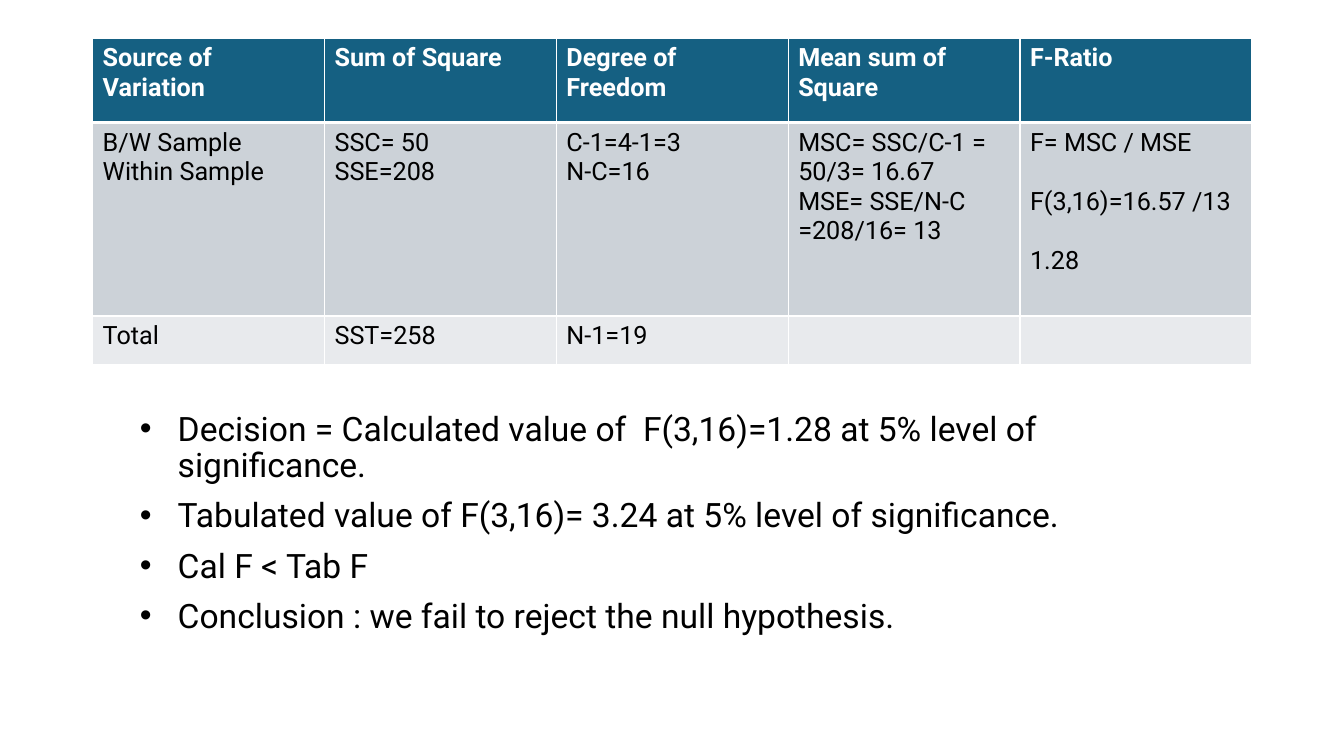
from lxml import etree
from pptx import Presentation
from pptx.dml.color import RGBColor
from pptx.oxml.ns import qn
from pptx.util import Pt

HEADERS = ["Source of Variation", "Sum of Square", "Degree of Freedom",
           "Mean sum of Square", "F-Ratio"]
SAMPLES = [
    ["B/W Sample", "Within Sample"],
    ["SSC= 50", "SSE=208"],
    ["C-1=4-1=3", "N-C=16"],
    ["MSC= SSC/C-1 =", "50/3= 16.67", "MSE= SSE/N-C", "=208/16= 13"],
    ["F= MSC / MSE", "F(3,16)=16.57 /13", "1.28"],
]
TOTALS = ["Total", "SST=258", "N-1=19", "", ""]
FINDINGS = [
    "Decision = Calculated value of  F(3,16)=1.28 at 5% level of significance.",
    "Tabulated value of F(3,16)= 3.24 at 5% level of significance.",
    "Cal F < Tab F",
    "Conclusion : we fail to reject the null hypothesis.",
]

ROWS = [
    {"cells": [[text] for text in HEADERS], "height": 60.2,
     "fill": "156082", "color": "FFFFFF", "bold": True},
    {"cells": SAMPLES, "height": 138.2,
     "fill": "CCD2D8", "color": "000000", "bold": False},
    {"cells": [[text] for text in TOTALS], "height": 34.4,
     "fill": "E8EAED", "color": "000000", "bold": False},
]
COLUMN_WIDTH = 165.6
TABLE_LEFT, TABLE_TOP = 66.2, 27.4
FINDINGS_BOX = (92.9, 290.9, 720, 249.1)
RATIO_COLUMN = HEADERS.index("F-Ratio")
RATIO_GAP = 21.1
BULLET_INDENT = 27
GRID_COLOR = "FFFFFF"


def rgb(color):
    return RGBColor.from_string(color)


def write_lines(frame, lines, size, color, bold=False, gap=0, bullet=False):
    for index, line in enumerate(lines):
        paragraph = frame.paragraphs[0] if index == 0 else frame.add_paragraph()
        if bullet:
            add_bullet(paragraph)
        if line:
            paragraph.add_run().text = line
        if index and gap:
            paragraph.space_before = Pt(gap)
        for name, value in {"name": "Roboto", "size": Pt(size), "bold": bold}.items():
            setattr(paragraph.font, name, value)
        paragraph.font.color.rgb = rgb(color)
        for run in paragraph.runs:
            for name, value in {"name": "Roboto", "size": Pt(size), "bold": bold}.items():
                setattr(run.font, name, value)
            run.font.color.rgb = rgb(color)


def add_bullet(paragraph):
    properties = paragraph._p.get_or_add_pPr()
    properties.set("marL", str(Pt(BULLET_INDENT)))
    properties.set("indent", str(-Pt(BULLET_INDENT)))
    etree.SubElement(properties, qn("a:buFont")).set("typeface", "Arial")
    etree.SubElement(properties, qn("a:buChar")).set("char", "•")
    paragraph.line_spacing = 0.9


def add_borders(cell, widths):
    """Draw the cell's edges; must run before its fill is set."""
    properties = cell._tc.get_or_add_tcPr()
    for edge, width in widths.items():
        line = etree.SubElement(properties, qn(f"a:ln{edge}"), w=str(Pt(width)))
        fill = etree.SubElement(line, qn("a:solidFill"))
        etree.SubElement(fill, qn("a:srgbClr")).set("val", GRID_COLOR)


def add_anova_table(slide):
    table = slide.shapes.add_table(
        len(ROWS), len(HEADERS), Pt(TABLE_LEFT), Pt(TABLE_TOP),
        Pt(COLUMN_WIDTH * len(HEADERS)), Pt(sum(row["height"] for row in ROWS))).table
    for column in table.columns:
        column.width = Pt(COLUMN_WIDTH)
    for row_index, row in enumerate(ROWS):
        table.rows[row_index].height = Pt(row["height"])
        top = 3 if row_index == 1 else 1
        bottom = 3 if row_index == 0 else 1
        for column_index, lines in enumerate(row["cells"]):
            cell = table.cell(row_index, column_index)
            add_borders(cell, {"L": 1, "R": 1, "T": top, "B": bottom})
            cell.fill.solid()
            cell.fill.fore_color.rgb = rgb(row["fill"])
            gap = RATIO_GAP if column_index == RATIO_COLUMN else 0
            write_lines(cell.text_frame, lines, 18, row["color"], row["bold"], gap)


def add_findings(slide):
    frame = slide.shapes.add_textbox(*map(Pt, FINDINGS_BOX)).text_frame
    frame.word_wrap = True
    write_lines(frame, FINDINGS, 24, "000000", gap=10, bullet=True)


def main():
    presentation = Presentation()
    presentation.slide_width, presentation.slide_height = Pt(960), Pt(540)
    slide = presentation.slides.add_slide(presentation.slide_layouts[6])
    add_findings(slide)
    add_anova_table(slide)
    presentation.save("out.pptx")


if __name__ == "__main__":
    main()
